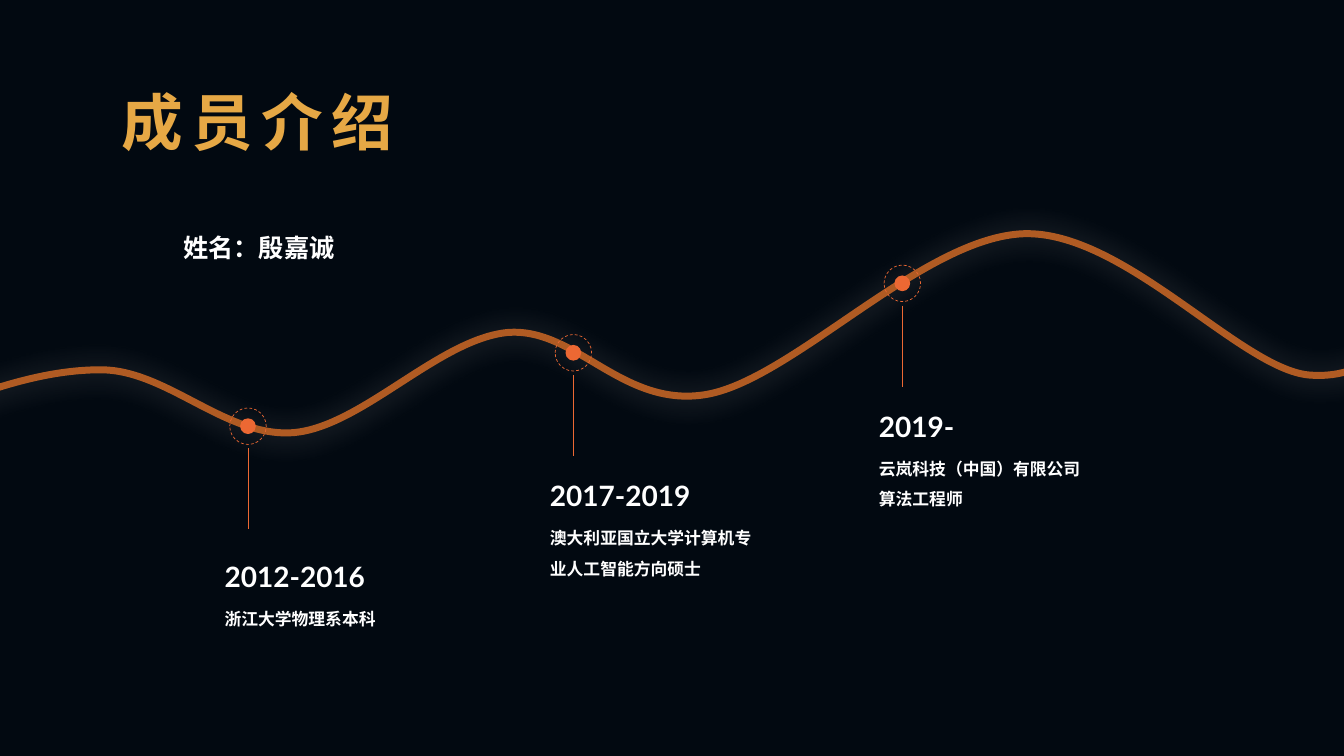
from dataclasses import dataclass

from lxml.etree import SubElement
from pptx import Presentation
from pptx.dml.color import RGBColor
from pptx.enum.dml import MSO_LINE
from pptx.enum.shapes import MSO_CONNECTOR, MSO_SHAPE
from pptx.enum.text import MSO_ANCHOR, PP_ALIGN
from pptx.oxml.ns import qn
from pptx.util import Cm, Pt

TITLE = "成员介绍"
MEMBER = "姓名：殷嘉诚"

# Node centre x and y, distance from node to date box, date, detail (cm)
EVENTS = [
    (6.25, 10.74, 3.23, "2012-2016", "浙江大学物理系本科"),
    (14.45, 8.89, 3.05, "2017-2019", "澳大利亚国立大学计算机专业人工智能方向硕士"),
    (22.74, 7.14, 3.05, "2019-", "云岚科技（中国）有限公司算法工程师"),
]

# Start point, then two control points and an end point per segment (cm)
WAVE = [
    (-2.49, 10.69),
    (-0.79, 9.98), (0.94, 9.3), (2.59, 9.32),
    (4.24, 9.35), (5.72, 11.05), (7.42, 10.9),
    (9.12, 10.74), (11.05, 8.56), (12.78, 8.38),
    (14.53, 8.23), (15.7, 10.34), (17.86, 9.93),
    (20.04, 9.5), (23.29, 5.97), (25.81, 5.89),
    (28.32, 5.82), (31.24, 9.27), (32.97, 9.45),
    (34.72, 9.6), (35.46, 8.26), (36.2, 6.91),
]


@dataclass(frozen=True)
class Theme:
    font: str = "Lato"
    background: RGBColor = RGBColor(0x02, 0x09, 0x11)
    title: RGBColor = RGBColor(0xE6, 0xA8, 0x45)
    wave: RGBColor = RGBColor(0xB0, 0x5B, 0x23)
    accent: RGBColor = RGBColor(0xEC, 0x68, 0x33)
    text: RGBColor = RGBColor(0xFF, 0xFF, 0xFF)
    glow: str = "A5A5A5"
    title_size: int = 44
    name_size: int = 18
    date_size: int = 20
    detail_size: int = 12


THEME = Theme()


def write_text(shape, text, size, color, line_spacing=1.0):
    frame = shape.text_frame
    frame.text = text
    frame.word_wrap = True
    frame.vertical_anchor = MSO_ANCHOR.TOP
    paragraph = frame.paragraphs[0]
    paragraph.alignment = PP_ALIGN.LEFT
    paragraph.line_spacing = line_spacing
    run = paragraph.runs[0]
    run.font.name = THEME.font
    run.font.size = Pt(size)
    run.font.bold = True
    run.font.color.rgb = color
    SubElement(run.font._element, qn("a:ea"), typeface=THEME.font)
    return run


def add_text(slide, left, top, width, height, text, size, line_spacing=1.0):
    box = slide.shapes.add_textbox(Cm(left), Cm(top), Cm(width), Cm(height))
    write_text(box, text, size, THEME.text, line_spacing)


def add_title(slide):
    title = slide.shapes.title
    title.left, title.top, title.width, title.height = Cm(2.82), Cm(1.98), Cm(18.87), Cm(2.13)
    run = write_text(title, TITLE, THEME.title_size, THEME.title)
    run.font._element.set("spc", "600")


def add_wave(slide):
    """Draw the outline through WAVE, with each three points as one cubic curve."""
    points = [(Cm(x), Cm(y)) for x, y in WAVE]
    builder = slide.shapes.build_freeform(*points[0])
    builder.add_line_segments(points[1:], close=False)
    wave = builder.convert_to_shape()
    wave.fill.background()
    wave.line.color.rgb = THEME.wave
    wave.line.width = Pt(5)

    outline = next(wave._element.iter(qn("a:path")))
    lines = outline.findall(qn("a:lnTo"))
    for first in range(0, len(lines), 3):
        curve = SubElement(outline, qn("a:cubicBezTo"))
        for line in lines[first:first + 3]:
            curve.append(line[0])
            outline.remove(line)

    effects = SubElement(wave._element.spPr, qn("a:effectLst"))
    shadow = SubElement(effects, qn("a:outerShdw"), blurRad=str(Pt(20)), dist="0", dir="0")
    color = SubElement(shadow, qn("a:srgbClr"), val=THEME.glow)
    SubElement(color, qn("a:alpha"), val="40000")


def add_circle(slide, x, y, diameter, line_width):
    circle = slide.shapes.add_shape(
        MSO_SHAPE.OVAL, Cm(x - diameter / 2), Cm(y - diameter / 2), Cm(diameter), Cm(diameter))
    circle.shadow.inherit = False
    circle.fill.background()
    circle.line.color.rgb = THEME.accent
    circle.line.width = Pt(line_width)
    return circle


def add_event(slide, x, y, drop, date, detail):
    dot = add_circle(slide, x, y, 0.36, 1)
    dot.fill.solid()
    dot.fill.fore_color.rgb = THEME.accent
    ring = add_circle(slide, x, y, 0.92, 0.5)
    ring.line.dash_style = MSO_LINE.DASH

    stem = slide.shapes.add_connector(
        MSO_CONNECTOR.STRAIGHT, Cm(x), Cm(y + 0.56), Cm(x), Cm(y + 2.6))
    stem.line.color.rgb = THEME.accent
    stem.line.width = Pt(0.5)
    SubElement(stem._element.spPr, qn("a:effectLst"))

    left, top = x - 0.84, y + drop
    add_text(slide, left, top, 5.6, 1.12, date, THEME.date_size)
    add_text(slide, left, top + 0.99, 5.6, 1.7, detail, THEME.detail_size, 1.5)


def main():
    presentation = Presentation()
    presentation.slide_width, presentation.slide_height = Cm(33.87), Cm(19.05)
    slide = presentation.slides.add_slide(presentation.slide_layouts[5])
    slide.background.fill.solid()
    slide.background.fill.fore_color.rgb = THEME.background

    add_wave(slide)
    for event in EVENTS:
        add_event(slide, *event)
    add_text(slide, 4.37, 5.36, 7.04, 1.27, MEMBER, THEME.name_size, 1.5)
    add_title(slide)
    presentation.save("out.pptx")


if __name__ == "__main__":
    main()
